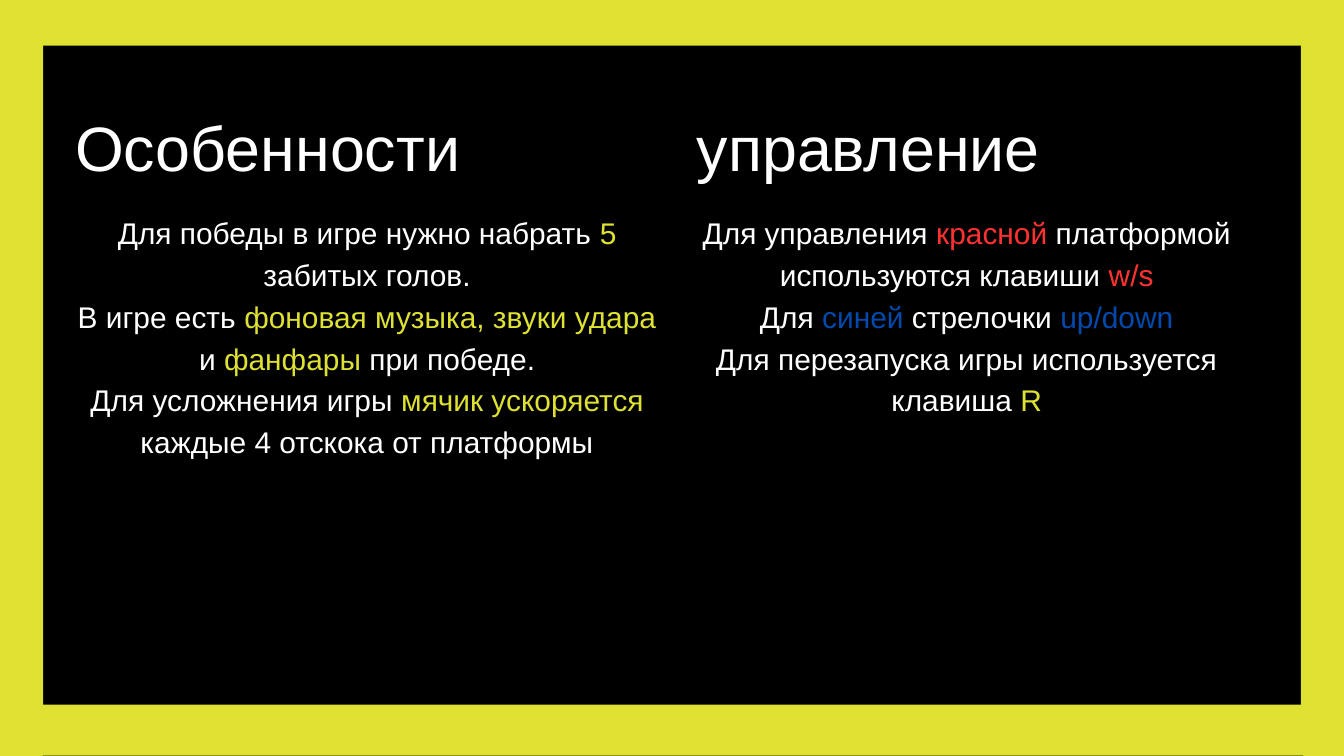
import pptx
import pptx.util
import pptx.dml.color
import pptx.enum.shapes
import pptx.enum.text

Cm, Pt = pptx.util.Cm, pptx.util.Pt
LEFT, CENTER = pptx.enum.text.PP_ALIGN.LEFT, pptx.enum.text.PP_ALIGN.CENTER
WHITE, YELLOW, RED, BLUE, BLACK = "FFFFFF", "DEE132", "FF3131", "004AAD", "000000"

FEATURES = [
    [("Для победы в игре нужно набрать ", WHITE), ("5", YELLOW), (" забитых голов.", WHITE)],
    [("В игре есть ", WHITE), ("фоновая музыка, звуки удара", YELLOW), (" и ", WHITE),
     ("фанфары", YELLOW), (" при победе.", WHITE)],
    [("Для усложнения игры ", WHITE), ("мячик ускоряется ", YELLOW),
     ("каждые 4 отскока от платформы", WHITE)],
]
CONTROLS = [
    [("Для управления ", WHITE), ("красной", RED), (" платформой используются клавиши ", WHITE),
     ("w/s", RED)],
    [("Для ", WHITE), ("синей", BLUE), (" стрелочки ", WHITE), ("up/down", BLUE)],
    [("Для перезапуска игры используется клавиша ", WHITE), ("R", YELLOW)],
]
BARS = [
    (-0.3, -0.2, 1.93, 29.57),
    (49.17, -0.46, 1.93, 29.57),
    (-0.38, -0.2, 51.49, 1.93),
    (0, 26.64, 50.8, 1.93),
]


def paint(color_format, color):
    """Give a colour format the colour of a hex string."""
    color_format.rgb = pptx.dml.color.RGBColor.from_string(color)


def place(sp, box):
    """Move and size a shape in centimetres."""
    sp.left, sp.top, sp.width, sp.height = map(Cm, box)


def write(sp, paragraphs, size, spacing, align):
    """Fill a shape with paragraphs of coloured runs."""
    tf = sp.text_frame
    tf.word_wrap = True
    tf.auto_size = pptx.enum.text.MSO_AUTO_SIZE.NONE
    tf.vertical_anchor = pptx.enum.text.MSO_ANCHOR.TOP
    tf.margin_left = tf.margin_top = tf.margin_right = tf.margin_bottom = 0
    for i, runs in enumerate(paragraphs):
        p = tf.add_paragraph() if i else tf.paragraphs[0]
        p.alignment = align
        p.line_spacing = Pt(spacing)
        p.space_before = Pt(0)
        p.font.name = "Arial"
        p.font.size = Pt(size)
        for text, color in runs:
            r = p.add_run()
            r.text = text
            paint(r.font.color, color)


def add_heading(sp, text, box):
    """Format a shape as a column heading."""
    place(sp, box)
    write(sp, [[(text, WHITE)]], 67.2, 80.7, LEFT)


def add_body(s, paragraphs, box):
    """Add the centred text of a column."""
    sp = s.shapes.add_textbox(*map(Cm, box))
    write(sp, paragraphs, 32, 44.8, CENTER)


def add_bar(s, box):
    """Add a rounded bar of the frame."""
    sp = s.shapes.add_shape(pptx.enum.shapes.MSO_SHAPE.ROUNDED_RECTANGLE, *map(Cm, box))
    sp.adjustments[0] = 0.5
    sp.shadow.inherit = False
    sp.fill.solid()
    paint(sp.fill.fore_color, YELLOW)
    sp.line.fill.background()


def main():
    """Build the slide and save it."""
    prs = pptx.Presentation()
    prs.slide_width, prs.slide_height = Cm(50.8), Cm(28.58)
    s = prs.slides.add_slide(prs.slide_layouts[5])
    s.background.fill.solid()
    paint(s.background.fill.fore_color, BLACK)
    add_heading(s.shapes.title, "Особенности", (2.84, 4.11, 22.07, 3))
    add_heading(s.shapes.add_textbox(0, 0, 0, 0), "управление", (26.34, 4.11, 20.37, 3))
    add_body(s, CONTROLS, (26.06, 7.9, 20.96, 14.1))
    add_body(s, FEATURES, (2.92, 7.9, 21.92, 12.52))
    for box in BARS:
        add_bar(s, box)
    prs.save("out.pptx")


if __name__ == "__main__":
    main()
